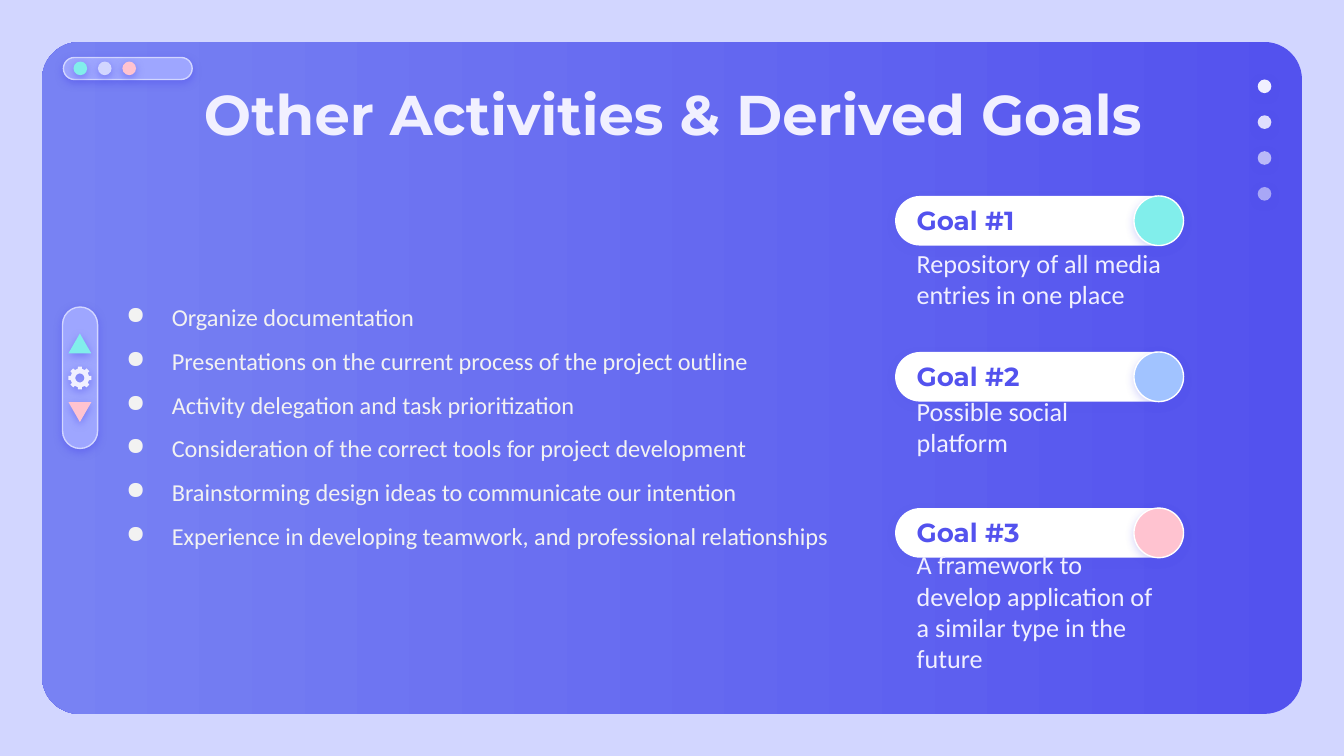
from math import cos, radians, sin

from pptx import Presentation
from pptx.dml.color import RGBColor
from pptx.enum.shapes import MSO_SHAPE as Kind
from pptx.enum.text import MSO_ANCHOR as Anchor, PP_ALIGN as Align
from pptx.oxml.ns import qn
from pptx.oxml.xmlchemy import OxmlElement as Node
from pptx.util import Pt

INK = {
    "back": "D2D6FF", "deep": "5352EE", "light": "7882F3", "pill": "9EA6FF",
    "mint": "81EEEB", "pink": "FFC3D0", "blue": "A1C3FF", "pale": "F1F0FF",
    "white": "FFFFFF", "list": "F2F2F2",
}
rgb = {name: RGBColor.from_string(code) for name, code in INK.items()}

deck = Presentation()
deck.slide_width, deck.slide_height = Pt(720), Pt(405)
slide = deck.slides.add_slide(deck.slide_layouts[6])
slide.background.fill.solid()
slide.background.fill.fore_color.rgb = rgb["back"]
shapes = slide.shapes


def paint(shape, fill, line=None, glow=50, alpha=100):
    """Set fill, outline and a soft drop shadow; glow and alpha are percents."""
    shape.fill.solid()
    shape.fill.fore_color.rgb = rgb[fill]
    if line:
        shape.line.color.rgb = rgb[line]
        shape.line.width = Pt(0.75)
    else:
        shape.line.fill.background()
    shape.shadow.inherit = False
    props = shape._element.spPr
    shade = Node("a:outerShdw")
    for key, value in (("blurRad", Pt(4.5)), ("dist", Pt(1.5)),
                       ("dir", 90 * 60000), ("algn", "bl"), ("rotWithShape", 0)):
        shade.set(key, str(int(value)) if key != "algn" else value)
    tint = Node("a:srgbClr")
    tint.set("val", INK["deep"])
    shade.append(tint)
    props.find(qn("a:effectLst")).append(shade)
    face = props.find(qn("a:solidFill")).find(qn("a:srgbClr"))
    for color, share in ((tint, glow), (face, alpha)):
        if share < 100:
            mark = Node("a:alpha")
            mark.set("val", str(share * 1000))
            color.append(mark)
    return shape


def write(text, x, y, w, h, font="Calibri", size=14, color="pale", bold=False,
          align=Align.LEFT, anchor=Anchor.MIDDLE, bullet=None, space=None):
    frame = shapes.add_textbox(Pt(x), Pt(y), Pt(w), Pt(h)).text_frame
    frame.word_wrap = True
    frame.vertical_anchor = anchor
    frame.margin_left = frame.margin_right = Pt(7.2)
    frame.margin_top = frame.margin_bottom = Pt(7.2)
    frame.text = text
    for para in frame.paragraphs:
        para.alignment = align
        para.line_spacing = space
        face = para.runs[0].font
        face.name, face.size, face.bold = font, Pt(size), bold
        face.color.rgb = rgb[color]
        if bullet:
            props = para._p.get_or_add_pPr()
            props.set("marL", str(Pt(36)))
            props.set("indent", str(Pt(-24.5)))
            hue, tint, mark = Node("a:buClr"), Node("a:srgbClr"), Node("a:buChar")
            tint.set("val", INK[color])
            mark.set("char", bullet)
            hue.append(tint)
            props.extend([hue, mark])


# Window panel
panel = shapes.add_shape(Kind.ROUNDED_RECTANGLE, Pt(22.5), Pt(22.5), Pt(675), Pt(360))
panel.adjustments[0] = 0.056
panel.shadow.inherit = False
panel.line.fill.background()
panel.fill.gradient()
panel.fill.gradient_angle = 180
for stop, name in zip(panel.fill.gradient_stops, ("deep", "light")):
    stop.color.rgb = rgb[name]

# Toolbars: top and left
for box in ((34, 30.8, 69, 11.8), (33.5, 164.5, 18.8, 75.8)):
    bar = shapes.add_shape(Kind.ROUNDED_RECTANGLE, *map(Pt, box))
    bar.adjustments[0] = 0.5
    paint(bar, "pill", line="back")

for i, name in enumerate(("mint", "back", "pink")):
    dot = shapes.add_shape(Kind.OVAL, Pt(39.4 + 13.1 * i), Pt(33), Pt(7.3), Pt(7.3))
    paint(dot, name)

for i, alpha in enumerate((100, 89, 66, 54)):
    dot = shapes.add_shape(Kind.OVAL, Pt(673.8), Pt(42.6 + 19.2 * i), Pt(7.3), Pt(7.3))
    paint(dot, "pale", alpha=alpha)

for y, turn, name in ((178.7, 0, "mint"), (215.5, 180, "pink")):
    arrow = shapes.add_shape(Kind.ISOSCELES_TRIANGLE, Pt(36.7), Pt(y), Pt(12.2), Pt(10.6))
    arrow.rotation = turn
    paint(arrow, name)

# Gear: eight teeth around a round hole
tooth = ((-13, 5), (-10, 6.2), (10, 6.2), (13, 5))
rim = [(45 * i + turn, r) for i in range(8) for turn, r in tooth]
hole = [(-15 * i, 2.4) for i in range(24)]
rim, hole = ([(Pt(42.8 + r * cos(radians(a))), Pt(202.5 + r * sin(radians(a))))
              for a, r in ring] for ring in (rim, hole))
pen = shapes.build_freeform(*rim[0])
pen.add_line_segments(rim[1:])
pen.move_to(*hole[0])
pen.add_line_segments(hole[1:])
paint(pen.convert_to_shape(), "pale", glow=52)

write("Other Activities & Derived Goals", 57, 35.3, 607, 45.4, font="Montserrat",
      size=30, bold=True, align=Align.CENTER, anchor=Anchor.TOP)

# Goals: label pill, text below, coloured knob
goals = (
    ("mint", "Repository of all media entries in one place", 130.3, 38.2),
    ("blue", "Possible social platform", 215.3, 26.6),
    ("pink", "A framework to develop application of a similar type in the future", 298.8, 57.6),
)
for i, (name, text, top, high) in enumerate(goals):
    y = 105 + 83.6 * i
    pill = shapes.add_shape(Kind.ROUNDED_RECTANGLE, Pt(479.5), Pt(y), Pt(154), Pt(26.6))
    pill.adjustments[0] = 0.5
    paint(pill, "white", glow=18)
    write(f"Goal #{i + 1}", 484, y + 3.4, 124, 19.4, font="Montserrat",
          color="deep", bold=True)
    write(text, 484, top, 147, high)
    knob = shapes.add_shape(Kind.OVAL, Pt(607.5), Pt(y), Pt(26.6), Pt(26.6))
    paint(knob, name, line="white", glow=22)

tasks = (
    "Organize documentation",
    "Presentations on the current process of the project outline",
    "Activity delegation and task prioritization",
    "Consideration of the correct tools for project development",
    "Brainstorming design ideas to communicate our intention",
    "Experience in developing teamwork, and professional relationships",
)
write("\n".join(tasks), 49, 147, 402, 148.3, size=13, color="list",
      anchor=Anchor.TOP, bullet="●", space=1.5)

deck.save("out.pptx")
